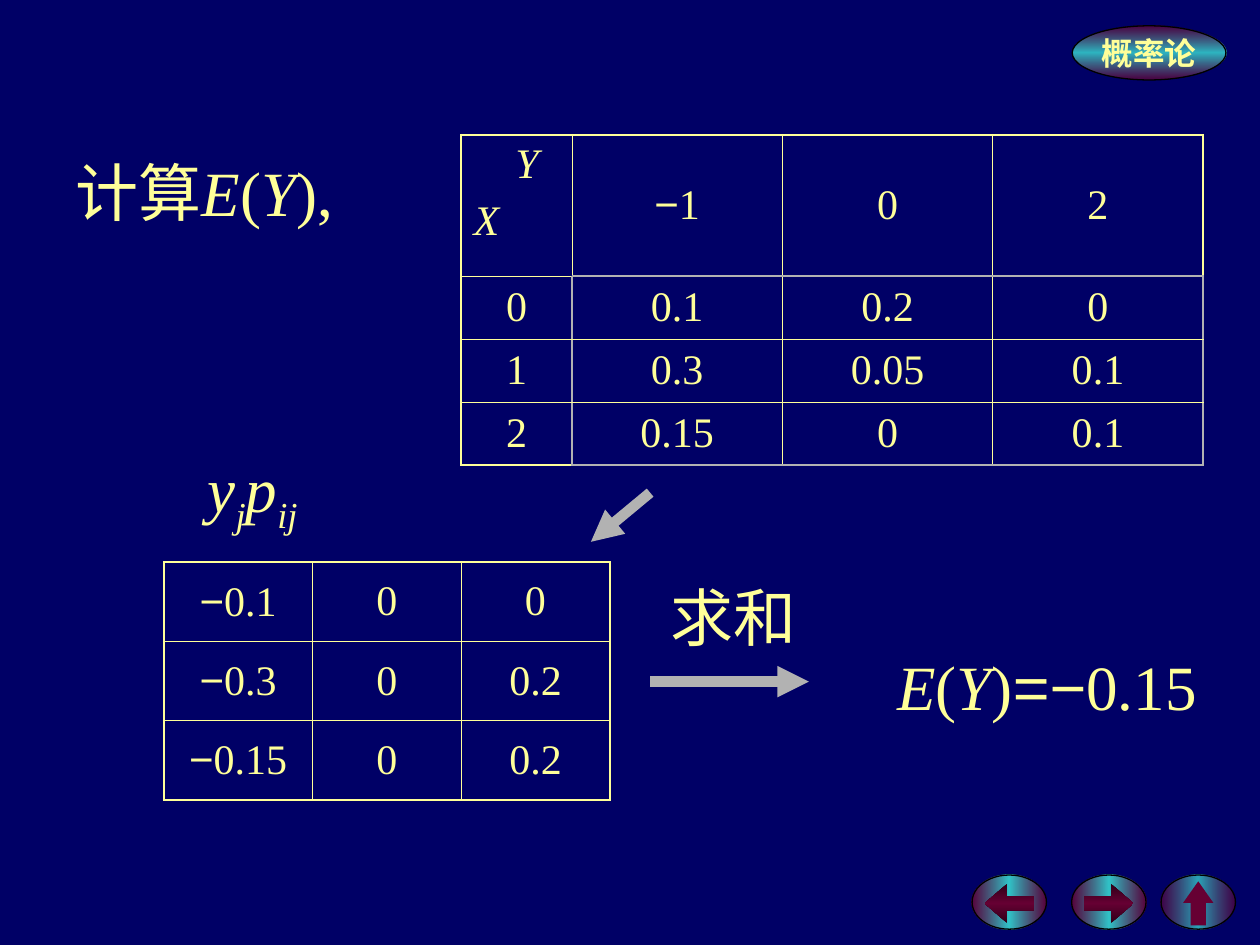
from pptx import Presentation, util as u
from pptx.dml.color import RGBColor
from pptx.enum import shapes, text
from pptx.oxml import parse_xml
from pptx.oxml.ns import nsdecls, qn
from lxml import etree

COLORS = {"background": "000066", "ink": "FFFF99", "gray": "B2B2B2", "plum": "660033",
          "teal": "33CCCC", "dark": "2F0018", "outline": "000000"}
SERIF, SANS = "Times New Roman", "Arial"

HEADING = [("计算", ""), ("E", "i"), ("(", ""), ("Y", "i"), ("),", "")]
JOINT = [["", "−1", "0", "2"],
         ["0", "0.1", "0.2", "0"],
         ["1", "0.3", "0.05", "0.1"],
         ["2", "0.15", "0", "0.1"]]
PRODUCTS = [["−0.1", "0", "0"],
            ["−0.3", "0", "0.2"],
            ["−0.15", "0", "0.2"]]
LABELS = [
    ((1.22, 3.52, 1.57, 0.79), [("y", "i"), ("j", "is"), ("p", "i"), ("ij", "is")]),
    ((5, 4.54, 1.65, 0.7), [("求和", "")]),
    ((6.89, 5.09, 2.84, 0.7), [("E", "i"), ("(", ""), ("Y", "i"), (")", ""),
                               ("=−", "a"), ("0.15", "")]),
]
ARROWS = [((5.16, 3.91), (4.69, 4.3)), ((5.16, 5.41), (6.42, 5.41))]
KIND = shapes.MSO_SHAPE
BUTTONS = [
    (8.01, (86, 96), KIND.LEFT_ARROW, (0.39, 0.31), (0.36, 0.57)),
    (8.8, (86, 96), KIND.RIGHT_ARROW, (0.39, 0.31), (0.36, 0.57)),
    (9.51, (62, 81), KIND.UP_ARROW, (0.24, 0.35), (0.5, 0.71)),
]


def rgb(name):
    return RGBColor.from_string(COLORS[name])


def inches(*lengths):
    return [u.Inches(length) for length in lengths]


def write(paragraph, runs, size, align=text.PP_ALIGN.CENTER, bold=False):
    paragraph.alignment = align
    font = paragraph.font
    font.size, font.bold, font.color.rgb = u.Pt(size), bold, rgb("ink")
    font.name = SERIF
    for words, style in runs:
        run = paragraph.add_run()
        run.text = words
        if "i" in style:
            run.font.italic = True
        if "a" in style:
            run.font.name = SANS
        if "s" in style:
            run.font._element.set("baseline", "-25000")


def gradient(shape, edge, middle, angle, alphas=(100, 100)):
    shape.fill.background()
    stops = "".join(
        f'<a:gs pos="{pos}"><a:srgbClr val="{COLORS[name]}">'
        f'<a:alpha val="{alpha * 1000}"/></a:srgbClr></a:gs>'
        for pos, name, alpha in ((0, edge, alphas[0]), (50000, middle, alphas[1]),
                                 (100000, edge, alphas[0])))
    blend = parse_xml(f'<a:gradFill {nsdecls("a")} rotWithShape="1"><a:gsLst>{stops}</a:gsLst>'
                      f'<a:lin ang="{angle * 60000}" scaled="0"/></a:gradFill>')
    properties = shape._element.spPr
    properties.replace(properties.find(qn("a:noFill")), blend)


def add_oval(slide, center, middle, width, height, angle, alphas):
    oval = slide.shapes.add_shape(KIND.OVAL, *inches(center - width / 2, middle - height / 2,
                                                     width, height))
    oval.shadow.inherit = False
    gradient(oval, "plum", "teal", angle, alphas)
    oval.line.color.rgb, oval.line.width = rgb("outline"), u.Pt(0.75)
    return oval


def add_button(slide, center, alphas, kind, size, adjustments):
    middle = 7.16
    add_oval(slide, center, middle, 0.59, 0.43, 0, alphas)
    width, height = size
    arrow = slide.shapes.add_shape(kind, *inches(center - width / 2, middle + 0.01 - height / 2,
                                                 width, height))
    arrow.shadow.inherit = False
    arrow.line.fill.background()
    for index, value in enumerate(adjustments):
        arrow.adjustments[index] = value
    if kind == KIND.UP_ARROW:
        arrow.fill.solid()
        arrow.fill.fore_color.rgb = rgb("plum")
    else:
        gradient(arrow, "dark", "plum", 90)


def ring(edges, first, count_rows, count_cols, color):
    last_row, last_col = count_rows - 1, count_cols - 1
    for row in range(first, count_rows):
        edges[row, first, "L"] = edges[row, last_col, "R"] = (color, 1.08)
        edges[row, first - 1, "R"] = (color, 1.08)
    for col in range(first, count_cols):
        edges[first, col, "T"] = edges[last_row, col, "B"] = (color, 1.08)
        edges[first - 1, col, "B"] = (color, 1.08)


def add_grid(slide, values, left, top, widths, heights, ring_colors):
    rows, cols = len(heights), len(widths)
    table = slide.shapes.add_table(rows, cols, *inches(left, top, sum(widths), sum(heights))).table
    table.first_row = table.horz_banding = False
    for col, width in enumerate(widths):
        table.columns[col].width = u.Inches(width)
    edges = {}
    for first, color in enumerate(ring_colors):
        ring(edges, first, rows, cols, color)
    for row, height in enumerate(heights):
        table.rows[row].height = u.Inches(height)
        for col, value in enumerate(values[row]):
            cell = table.cell(row, col)
            cell.fill.background()
            cell.vertical_anchor = text.MSO_ANCHOR.MIDDLE
            if value:
                sign, digits = ("−", value[1:]) if value[0] == "−" else ("", value)
                runs = [(sign, "a")] * bool(sign) + [(digits, "")]
                write(cell.text_frame.paragraphs[0], runs, 24)
            for index, side in enumerate("LRTB"):
                color, width = edges.get((row, col, side), ("ink", 0.45))
                cell._tc.tcPr.insert(index, parse_xml(
                    f'<a:ln{side} {nsdecls("a")} w="{u.Pt(width)}"><a:solidFill>'
                    f'<a:srgbClr val="{COLORS[color]}"/></a:solidFill></a:ln{side}>'))
    return table


def main():
    deck = Presentation()
    deck.slide_width, deck.slide_height = inches(10, 7.5)
    slide = deck.slides.add_slide(deck.slide_layouts[5])
    slide.background.fill.solid()
    slide.background.fill.fore_color.rgb = rgb("background")

    badge = add_oval(slide, 9.12, 0.42, 1.22, 0.43, 90, (73, 89))
    badge.text_frame.word_wrap = False
    badge.text_frame.vertical_anchor = text.MSO_ANCHOR.MIDDLE
    write(badge.text_frame.paragraphs[0], [("概率论", "")], 18, bold=True)
    for button in BUTTONS:
        add_button(slide, *button)

    heading = slide.shapes.title
    heading.left, heading.top, heading.width, heading.height = inches(0.5, 1.17, 9, 0.93)
    heading.text_frame.auto_size = text.MSO_AUTO_SIZE.NONE
    heading.text_frame.vertical_anchor = text.MSO_ANCHOR.TOP
    write(heading.text_frame.paragraphs[0], HEADING, 36, text.PP_ALIGN.LEFT)

    joint = add_grid(slide, JOINT, 3.66, 1.07, [0.88] + [1.67] * 3, [1.12] + [0.5] * 3,
                     ["ink", "gray"])
    corner = joint.cell(0, 0)
    corner.vertical_anchor = text.MSO_ANCHOR.TOP
    across, down = corner.text_frame.paragraphs[0], corner.text_frame.add_paragraph()
    across._p.get_or_add_pPr().set("marL", str(u.Inches(0.33)))
    write(across, [("Y", "i")], 24, text.PP_ALIGN.LEFT)
    write(down, [("X", "i")], 24, text.PP_ALIGN.LEFT)
    down.space_before = u.Pt(6)
    add_grid(slide, PRODUCTS, 1.3, 4.46, [1.18] * 3, [0.63] * 3, ["ink"])

    for start, end in ARROWS:
        arrow = slide.shapes.add_connector(shapes.MSO_CONNECTOR.STRAIGHT, *inches(*start, *end))
        arrow.line.color.rgb, arrow.line.width = rgb("gray"), u.Pt(6)
        etree.SubElement(arrow.line._get_or_add_ln(), qn("a:tailEnd"), type="triangle")
        etree.SubElement(arrow._element.spPr, qn("a:effectLst"))

    for place, runs in LABELS:
        label = slide.shapes.add_textbox(*inches(*place)).text_frame
        label.word_wrap = True
        write(label.paragraphs[0], runs, 36)

    deck.save("out.pptx")


if __name__ == "__main__":
    main()
